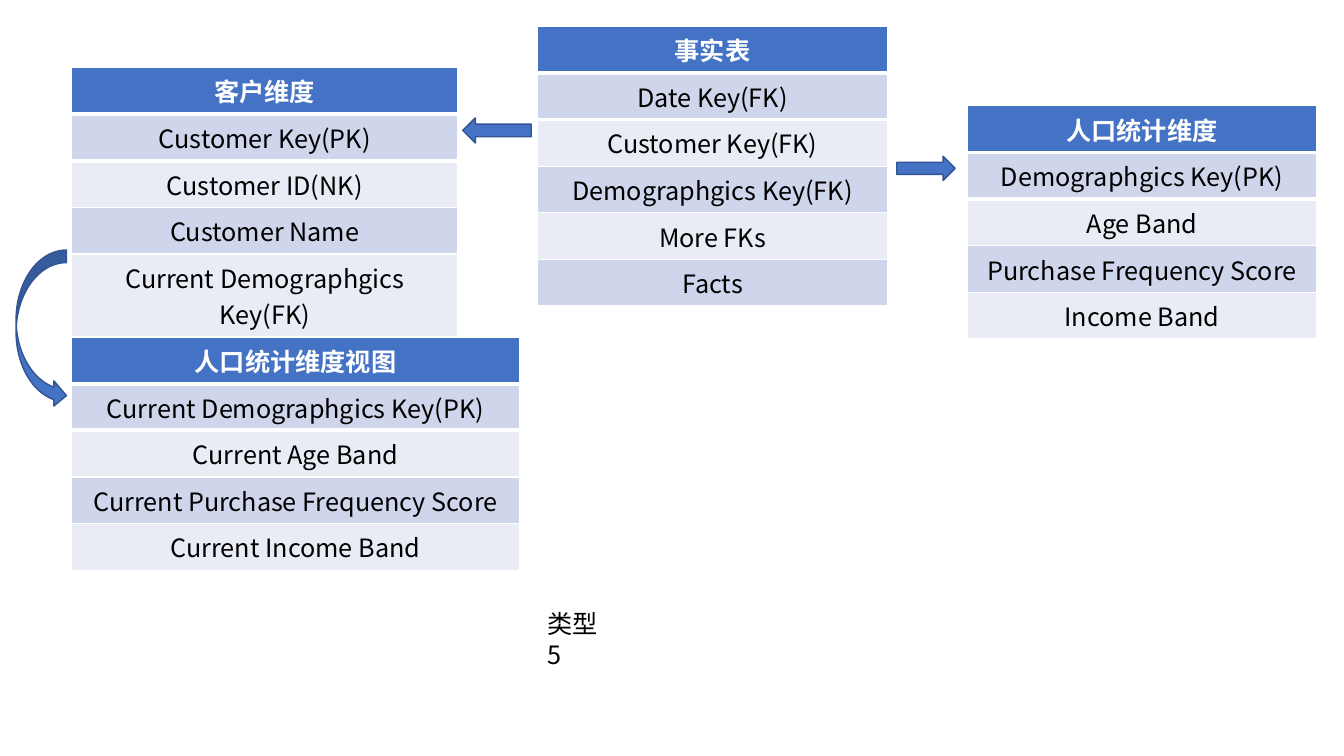
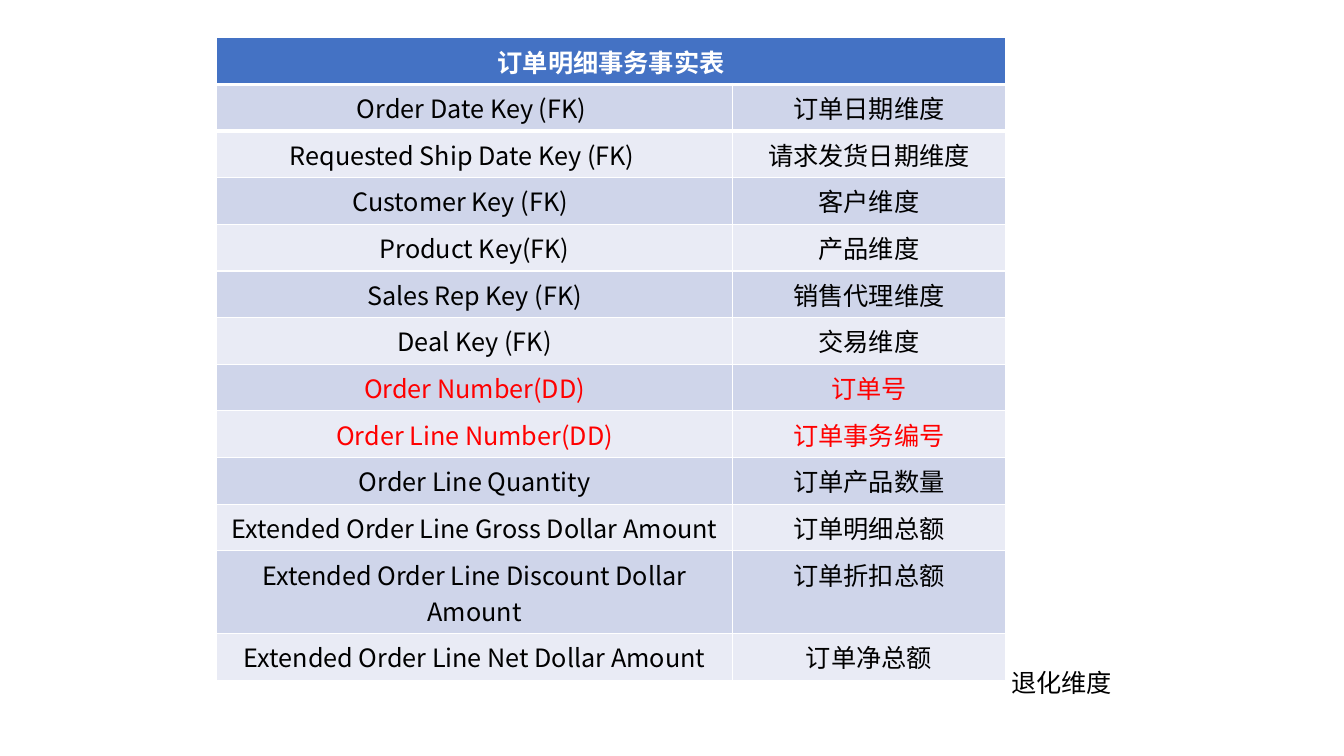
"""Build two slides of dimension and fact tables."""
from lxml import etree
from pptx import Presentation
from pptx.dml.color import RGBColor
from pptx.enum.shapes import MSO_SHAPE
from pptx.enum.text import PP_ALIGN
from pptx.oxml.ns import qn
from pptx.util import Inches, Pt

LEFT, RIGHT = MSO_SHAPE.LEFT_ARROW, MSO_SHAPE.RIGHT_ARROW
CURVE = MSO_SHAPE.CURVED_RIGHT_ARROW
MID, START = PP_ALIGN.CENTER, PP_ALIGN.LEFT


class Theme:
    face = "Noto Sans CJK SC"
    size = Pt(18)
    rule = Pt(1)
    thick = Pt(3)
    blue = RGBColor(0x44, 0x72, 0xC4)
    edge = RGBColor(0x32, 0x54, 0x91)
    bands = RGBColor(0xE9, 0xEB, 0xF5), RGBColor(0xCF, 0xD5, 0xEA)
    white = RGBColor(0xFF, 0xFF, 0xFF)
    black = RGBColor(0, 0, 0)
    red = RGBColor(0xFF, 0, 0)


deck = Presentation()
deck.slide_width, deck.slide_height = Inches(13.33), Inches(7.5)
col, row = deck.slide_width / 100, deck.slide_height / 100
blank = deck.slide_layouts[6]
tall, deep, tight = 6.17, 10.95, 5.4


def write(frame, text, ink, bold=False, align=MID):
    para = frame.paragraphs[0]
    para.alignment = align
    run = para.add_run()
    run.text = text
    run.font.color.rgb = ink
    for name, value in {"size": Theme.size, "bold": bold, "name": Theme.face}.items():
        setattr(run.font, name, value)
    latin = run.font._element.find(qn("a:latin"))
    latin.addnext(etree.Element(qn("a:ea"), typeface=Theme.face))


def draw(slide, x, y, wide, head, rows, highs, pads=None, reds=()):
    table = slide.shapes.add_table(
        len(highs), len(wide), int(x * col), int(y * row),
        int(sum(wide) * col), int(sum(highs) * row)).table
    for item, share in zip(table.columns, wide):
        item.width = int(share * col)
    for item, share in zip(table.rows, highs):
        item.height = int(share * row)
    if len(wide) > 1:
        table.cell(0, 0).merge(table.cell(0, len(wide) - 1))
    for i, texts in enumerate([[head], *rows]):
        for j, text in enumerate(texts):
            cell = table.cell(i, j)
            cell.fill.solid()
            cell.fill.fore_color.rgb = Theme.bands[i % 2] if i else Theme.blue
            ink = Theme.red if i in reds else Theme.black if i else Theme.white
            write(cell.text_frame, text, ink, bold=i == 0)
    for i, side in enumerate(("a:lnB", "a:lnT")):
        for cell in table.rows[i].cells:
            line = etree.Element(qn(side), w=str(Theme.thick))
            fill = etree.SubElement(line, qn("a:solidFill"))
            etree.SubElement(fill, qn("a:srgbClr"), val=str(Theme.white))
            cell._tc.get_or_add_tcPr().insert(0, line)
    for i, share in (pads or {}).items():
        table.cell(i, 0).margin_right = int(share * col)


model = deck.slides.add_slide(blank)
tables = [
    (5.33, 8.93, 28.73, "客户维度",
     ["Customer Key(PK)", "Customer ID(NK)", "Customer Name",
      "Current Demographgics Key(FK)"], [tall] * 4 + [deep]),
    (40, 3.47, 26.03, "事实表",
     ["Date Key(FK)", "Customer Key(FK)", "Demographgics Key(FK)", "More FKs",
      "Facts"], [tall] * 6),
    (71.95, 14, 26.03, "人口统计维度",
     ["Demographgics Key(PK)", "Age Band", "Purchase Frequency Score",
      "Income Band"], [tall] * 5),
    (5.33, 44.6, 33.31, "人口统计维度视图",
     ["Current Demographgics Key(PK)", "Current Age Band",
      "Current Purchase Frequency Score", "Current Income Band"], [tight] * 5),
]
for x, y, wide, head, names, highs in tables:
    draw(model, x, y, [wide], head, [[name] for name in names], highs)

arrows = [
    (RIGHT, 66.72, 20.67, 4.35, 3.2),
    (LEFT, 34.43, 15.6, 5.1, 3.33),
    (CURVE, 1.2, 33.07, 3.75, 20.93),
]
for kind, x, y, wide, high in arrows:
    arrow = model.shapes.add_shape(
        kind, int(x * col), int(y * row), int(wide * col), int(high * row))
    arrow.shadow.inherit = False
    arrow.fill.solid()
    arrow.fill.fore_color.rgb = Theme.blue
    arrow.line.color.rgb = Theme.edge
    arrow.line.width = Theme.rule

order = deck.slides.add_slide(blank)
fields = [
    ("Order Date Key (FK)", "订单日期维度"),
    ("Requested Ship Date Key (FK)", "请求发货日期维度"),
    ("Customer Key (FK)", "客户维度"),
    ("Product Key(FK)", "产品维度"),
    ("Sales Rep Key (FK)", "销售代理维度"),
    ("Deal Key (FK)", "交易维度"),
    ("Order Number(DD)", "订单号"),
    ("Order Line Number(DD)", "订单事务编号"),
    ("Order Line Quantity", "订单产品数量"),
    ("Extended Order Line Gross Dollar Amount", "订单明细总额"),
    ("Extended Order Line Discount Dollar Amount", "订单折扣总额"),
    ("Extended Order Line Net Dollar Amount", "订单净总额"),
]
draw(order, 16.13, 5, [38.37, 20.3], "订单明细事务事实表", fields,
     [tall] * 11 + [deep, tall], pads={1: 1.2, 2: 2.6, 3: 2.9}, reds=(7, 8))

labels = [
    (model, 40, 79.87, 6, "类型5"),
    (order, 74.5, 87.6, 9.75, "退化维度"),
]
for slide, x, y, wide, text in labels:
    box = slide.shapes.add_textbox(
        int(x * col), int(y * row), int(wide * col), int(5.33 * row))
    box.text_frame.word_wrap = True
    write(box.text_frame, text, Theme.black, align=START)

deck.save("out.pptx")
